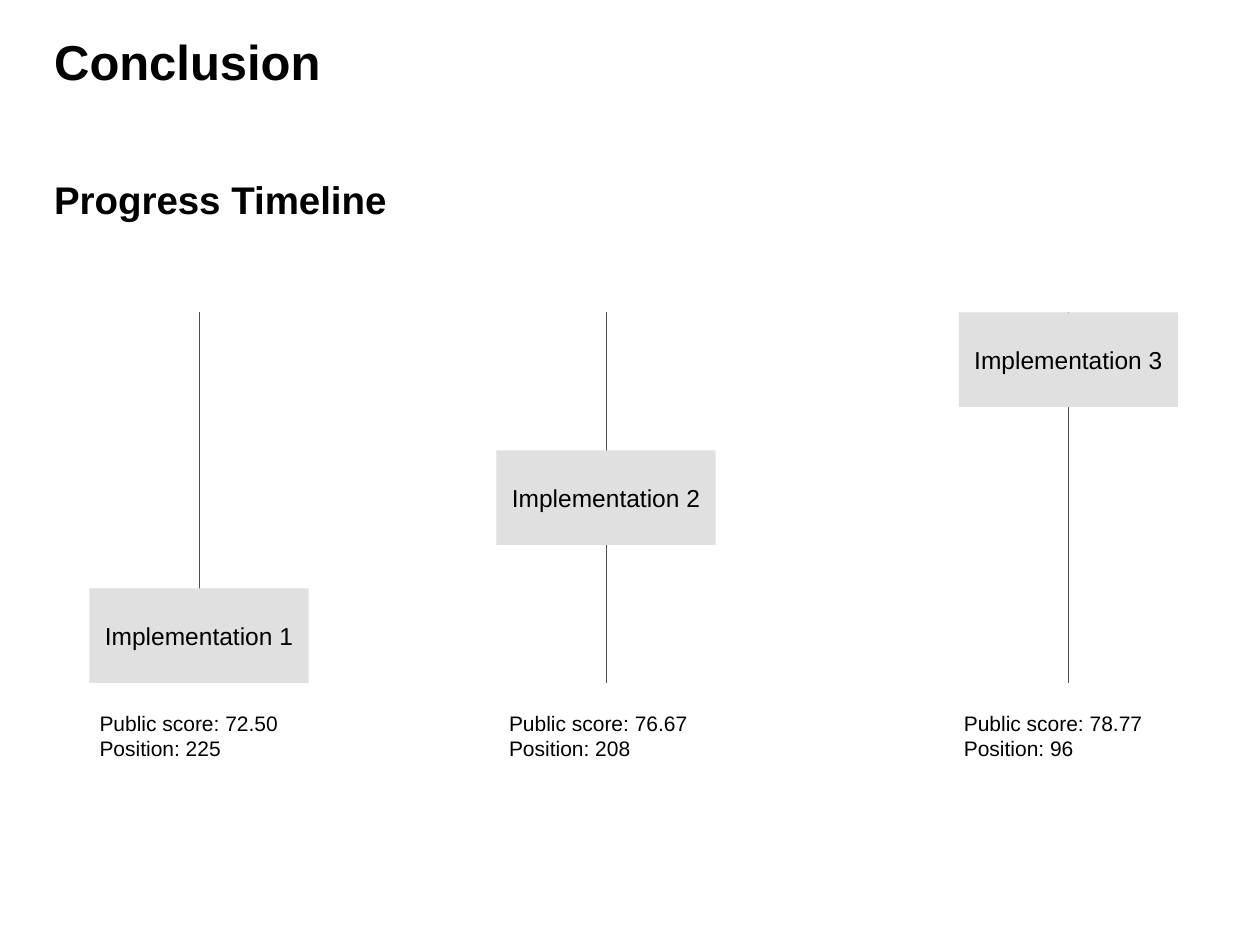
"""Build the progress timeline slide."""
import pptx
import pptx.util
import pptx.dml.color
import pptx.enum.shapes
import pptx.enum.text
import pptx.oxml.ns
import lxml.etree

Inches = pptx.util.Inches
Align = pptx.enum.text.PP_ALIGN
Anchor = pptx.enum.text.MSO_ANCHOR
TOP, BOTTOM = 2.48, 5.42
WIDTH, HEIGHT = 1.74, 0.75


def color(code):
    """Turn a hex string into a colour."""
    return pptx.dml.color.RGBColor.from_string(code)


def write(shape, text, size=12, bold=False, align=Align.LEFT,
          anchor=Anchor.TOP, inset=0.04):
    """Fill a shape with formatted text, one paragraph a line."""
    frame = shape.text_frame
    frame.word_wrap = True
    frame.auto_size = pptx.enum.text.MSO_AUTO_SIZE.NONE
    frame.vertical_anchor = anchor
    frame.margin_left = frame.margin_right = Inches(inset)
    frame.margin_top = frame.margin_bottom = Inches(inset)
    frame.text = text
    for para in frame.paragraphs:
        para.alignment = align
        for run in para.runs:
            run.font.name = "Arial"
            run.font.size = pptx.util.Pt(size)
            run.font.bold = bold
            run.font.color.rgb = color("000000")


def label(slide, text, left, top, width, height, **form):
    """Add a text box."""
    box = slide.shapes.add_textbox(*map(Inches, (left, top, width, height)))
    write(box, text, **form)


def track(slide, x):
    """Add a thin vertical line."""
    line = slide.shapes.add_connector(
        pptx.enum.shapes.MSO_CONNECTOR.STRAIGHT,
        *map(Inches, (x, TOP, x, BOTTOM)))
    line.line.color.rgb = color("4D4D4D")
    line.line.width = pptx.util.Pt(0.5)
    lxml.etree.SubElement(line._element.spPr,
                          pptx.oxml.ns.qn("a:effectLst"))


def block(slide, text, left, top):
    """Add a grey box with centred text."""
    box = slide.shapes.add_shape(
        pptx.enum.shapes.MSO_SHAPE.RECTANGLE,
        *map(Inches, (left, top, WIDTH, HEIGHT)))
    box.shadow.inherit = False
    box.fill.solid()
    box.fill.fore_color.rgb = color("E0E0E0")
    box.line.fill.background()
    write(box, text, size=14, align=Align.CENTER, anchor=Anchor.MIDDLE)


def main():
    """Build and save the slide."""
    deck = pptx.Presentation()
    deck.slide_width, deck.slide_height = Inches(10), Inches(7.5)
    slide = deck.slides.add_slide(deck.slide_layouts[5])
    title = slide.shapes.title
    title.left, title.top = Inches(0.43), Inches(0.25)
    title.width, title.height = Inches(9.14), Inches(1.12)
    write(title, "Conclusion", size=28, bold=True, inset=0)
    label(slide, "Progress Timeline", 0.43, 1.4, 9.14, 0.5,
          size=22, bold=True, inset=0)

    steps = [(1.58, 0.75, "72.50", 225),
             (4.81, 4.0, "76.67", 208),
             (8.48, 7.61, "78.77", 96)]
    rise = (BOTTOM - HEIGHT - TOP) / (len(steps) - 1)
    for i, (x, left, score, rank) in enumerate(steps):
        track(slide, x)
        block(slide, f"Implementation {i + 1}", x - WIDTH / 2,
              BOTTOM - HEIGHT - i * rise)
        label(slide, f"Public score: {score}\nPosition: {rank}",
              left, 5.6, 1.64, 0.62)
    deck.save("out.pptx")


main()
